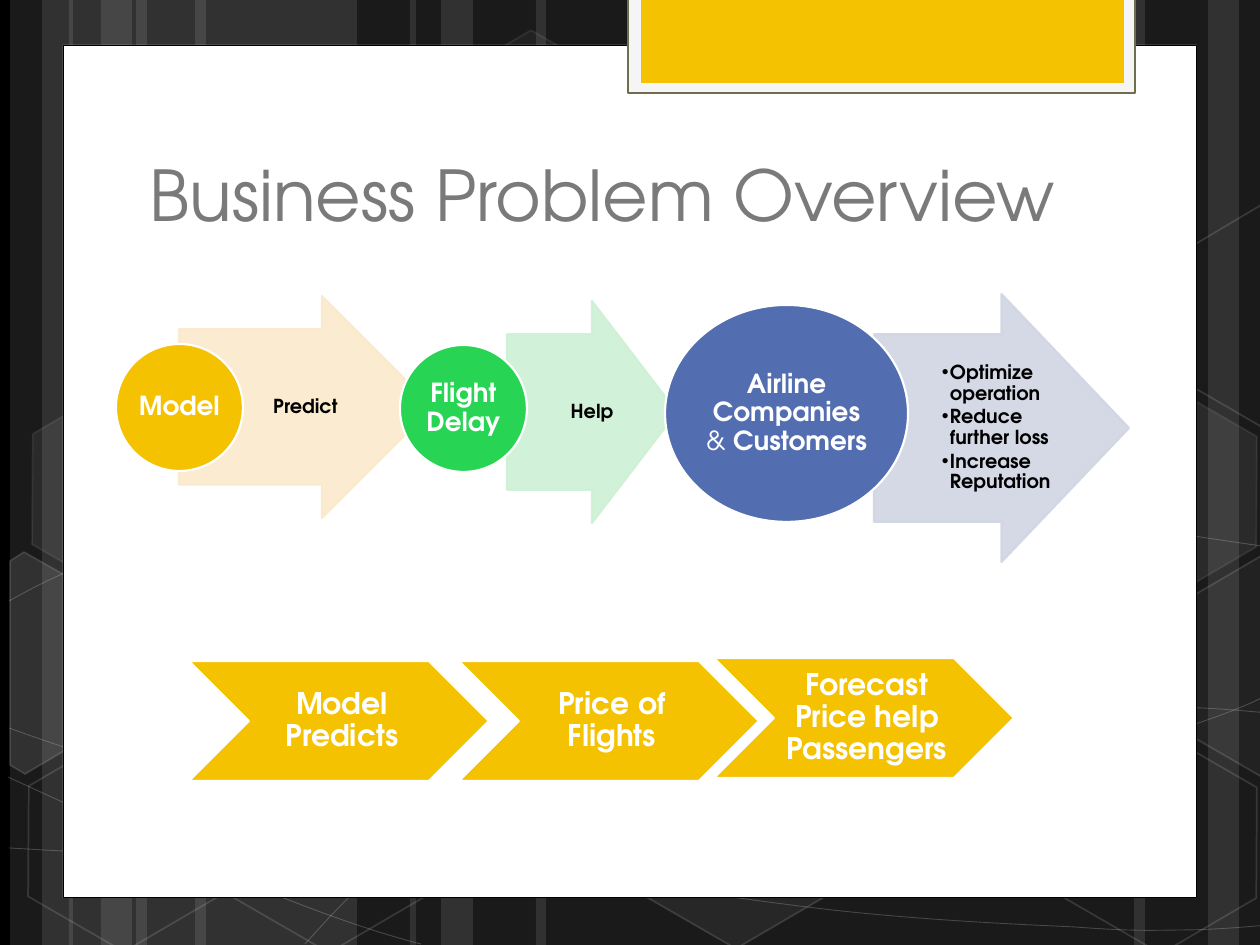
from lxml.etree import SubElement
from pptx import Presentation
from pptx.dml.color import RGBColor
from pptx.enum.shapes import MSO_SHAPE as Preset
from pptx.enum.text import MSO_ANCHOR as Anchor, MSO_AUTO_SIZE as AutoSize, PP_ALIGN as Align
from pptx.oxml.ns import qn
from pptx.util import Emu, Pt

SCALE = 914400 / 126
FONT = "TeX Gyre Adventor"
COLORS = {
    "black": "000000", "white": "FFFFFF", "gold": "F5C201", "green": "28D453",
    "blue": "526DB0", "cream": "FBE9CC", "mint": "CDF1D4", "lavender": "D1D5E4",
    "gray": "7A7A7A", "frame": "F5F5F5", "olive": "6F6F4E",
}
BARS = [(136, 221), (10, 63), (42, 105), (195, 221), (69, 63), (101, 105),
        (924, 221), (1208, 63), (1134, 105), (536, 388), (410, 63), (441, 105)]
CURVES = [
    [(9, 848), (77, 852), (145, 856), (239, 854), (334, 853), (451, 851), (577, 838),
     (703, 825), (882, 801), (998, 777), (1113, 753), (1231, 716), (1269, 694)],
    [(9, 601), (45, 581), (82, 562), (152, 543), (224, 524), (326, 496), (437, 488),
     (549, 479), (685, 478), (824, 488), (963, 498), (1193, 537), (1269, 547)],
    [(8, 777), (160, 847), (311, 916), (421, 944)],
    [(9, 728), (48, 742), (88, 756), (161, 776), (234, 795), (344, 827), (450, 848),
     (554, 869), (687, 892), (791, 905), (896, 919), (1008, 924), (1075, 927),
     (1140, 932), (1158, 930), (1191, 930), (1223, 929), (1246, 927), (1269, 925)],
    [(305, 944), (328, 919), (350, 893), (381, 871), (411, 848), (454, 823), (489, 805),
     (524, 788), (546, 780), (592, 767), (638, 755), (722, 737), (766, 728),
     (811, 719), (818, 719), (857, 717), (896, 713), (958, 709), (1000, 708),
     (1045, 707), (1116, 708), (1116, 708), (1144, 708), (1173, 708), (1201, 708),
     (1223, 709), (1245, 711), (1256, 712), (1268, 713), (1264, 712), (1268, 713)],
]
HEXAGONS = [(421, 45, 4, 8), (626, 742, 6, 12), (14, 745, None, 12), (18, 393, 7, 8),
            (219, 746, None, 12), (949, 571, 10, 12), (1051, 747, None, 12), (1051, 396, 7, 8)]
CUT_HEXAGONS = [
    ([(10, 561), (24, 552), (121, 607), (120, 718), (25, 774), (10, 765)], 10),
    ([(1167, 611), (1261, 556), (1271, 562), (1271, 772), (1262, 777), (1167, 722)], 4),
    ([(1167, 261), (1261, 205), (1273, 212), (1271, 422), (1262, 427), (1167, 372)], None),
]
LABEL = {"size": Pt(11), "color": "black", "insets": (4, 1, 3, 1)}
DISC = {"size": Pt(15), "color": "white", "insets": (1, 1, 1, 1)}
STEP = {"size": Pt(17), "color": "white", "insets": (9, 3, 3, 3)}
FLOW = [
    {"arrow": (179, 296, 254, 222), "tint": "cream", "label": (243, 330, 124, 155),
     "notes": ["Predict"], "disc": (116, 344, 127, 127), "color": "gold",
     "name": [("Model", True)]},
    {"arrow": (507, 301, 170, 222), "tint": "mint", "label": (550, 335, 83, 155),
     "notes": ["Help"], "disc": (400, 345, 127, 127), "color": "green",
     "name": [("Flight Delay", True)]},
    {"arrow": (874, 294, 255, 268), "tint": "lavender", "label": (938, 334, 123, 188),
     "notes": ["Optimize operation", "Reduce further loss", "Increase Reputation"],
     "disc": (665, 305, 243, 217), "color": "blue",
     "name": [("Airline Companies", True), (" & ", False), ("Customers", True)]},
]
STEPS = [(189, 661, "Model Predicts"), (459, 661, "Price of Flights"),
         (714, 658, "Forecast Price help Passengers")]


def px(value):
    return Emu(round(value * SCALE))


def rgb(name):
    return RGBColor.from_string(COLORS[name])


def apply(target, values):
    for name, value in values.items():
        setattr(target, name, value)


def paint(fill, holder, color, alpha):
    if color is None:
        fill.background()
        return
    fill.solid()
    fill.fore_color.rgb = rgb(color)
    if alpha is not None:
        tone = holder.find(qn("a:solidFill")).find(qn("a:srgbClr"))
        SubElement(tone, qn("a:alpha"), val=str(alpha * 1000))


def style(shape, fill=None, alpha=None, line=None, width=1.25, line_alpha=None):
    shape.shadow.inherit = False
    properties = shape.element.spPr
    paint(shape.fill, properties, fill, alpha)
    shape.line.width = Pt(width)
    paint(shape.line.fill, properties.find(qn("a:ln")), line, line_alpha)


def add_preset(page, kind, box, **look):
    shape = page.shapes.add_shape(kind, *map(px, box))
    style(shape, **look)
    return shape


def add_outline(page, points, closed, **look):
    corners = [(px(x), px(y)) for x, y in points]
    builder = page.shapes.build_freeform(*corners[0], scale=1.0)
    builder.add_line_segments(corners[1:], close=closed)
    shape = builder.convert_to_shape()
    style(shape, **look)
    return shape


def add_curve(page, knots):
    shape = add_outline(page, knots, False, line="white", width=0.5, line_alpha=20)
    segments = list(shape.element.iter(qn("a:lnTo")))
    outline = segments[0].getparent()
    for start in range(0, len(segments), 3):
        bend = SubElement(outline, qn("a:cubicBezTo"))
        for segment in segments[start:start + 3]:
            bend.append(segment.find(qn("a:pt")))
            outline.remove(segment)


def add_bullet(para):
    apply(para, {"level": 1, "alignment": Align.LEFT, "space_after": Pt(1.5)})
    properties = para._p.get_or_add_pPr()
    properties.set("marL", str(px(8)))
    properties.set("indent", str(-px(8)))
    SubElement(properties, qn("a:buFont"), typeface="Arial")
    SubElement(properties, qn("a:buChar"), char="•")


def write(shape, paragraphs, form):
    frame = shape.text_frame
    left, top, right, bottom = map(px, form["insets"])
    apply(frame, {"word_wrap": True, "vertical_anchor": Anchor.MIDDLE, "margin_left": left,
                  "margin_top": top, "margin_right": right, "margin_bottom": bottom})
    for index, spans in enumerate(paragraphs):
        para = frame.add_paragraph() if index else frame.paragraphs[0]
        apply(para, {"alignment": Align.CENTER, "line_spacing": 0.9})
        for text, bold in spans:
            span = para.add_run()
            span.text = text
            apply(span.font, {"name": FONT, "size": form["size"], "bold": bold})
            span.font.color.rgb = rgb(form["color"])
        if len(paragraphs) > 1:
            add_bullet(para)


def add_backdrop(page):
    page.background.fill.solid()
    page.background.fill.fore_color.rgb = rgb("black")
    for left, width in BARS:
        add_preset(page, Preset.RECTANGLE, (left, 0, width, 945), fill="white", alpha=10)
    for knots in CURVES:
        add_curve(page, knots)
    for left, top, alpha, line_alpha in HEXAGONS:
        hexagon = add_preset(page, Preset.HEXAGON, (left, top, 220, 192), line="white", width=1,
                             fill="white" if alpha else None, alpha=alpha, line_alpha=line_alpha)
        hexagon.rotation = 30
        hexagon.adjustments[0] = 0.285
    for corners, alpha in CUT_HEXAGONS:
        add_outline(page, corners, True, line="white", width=1, line_alpha=12,
                    fill="white" if alpha else None, alpha=alpha)
    add_preset(page, Preset.RECTANGLE, (63, 45, 1134, 853), fill="white", line="black", width=0.5)
    add_preset(page, Preset.RECTANGLE, (628, -3, 507, 96), fill="frame", line="olive")
    add_preset(page, Preset.RECTANGLE, (641, -3, 483, 86), fill="gold")


def add_title(page, text):
    title = page.shapes.title
    title.element.getparent().append(title.element)
    apply(title, {"left": px(137), "top": px(84), "width": px(967), "height": px(158)})
    frame = title.text_frame
    frame.text = text
    apply(frame, {"vertical_anchor": Anchor.BOTTOM, "auto_size": AutoSize.NONE, "word_wrap": True})
    para = frame.paragraphs[0]
    para.alignment = Align.LEFT
    font = para.runs[0].font
    apply(font, {"name": FONT, "size": Pt(40)})
    font.color.rgb = rgb("gray")


def add_stage(page, stage):
    arrow = add_preset(page, Preset.RIGHT_ARROW, stage["arrow"], fill=stage["tint"], alpha=90,
                       line=stage["tint"], line_alpha=90)
    arrow.adjustments[0] = 0.7
    label = page.shapes.add_textbox(*map(px, stage["label"]))
    write(label, [[(note, True)] for note in stage["notes"]], LABEL)
    disc = add_preset(page, Preset.OVAL, stage["disc"], fill=stage["color"], line="white")
    write(disc, [stage["name"]], DISC)


def add_step(page, left, top, text):
    chevron = add_preset(page, Preset.CHEVRON, (left, top, 300, 120), fill="gold", line="white")
    write(chevron, [[(text, True)]], STEP)


def main():
    deck = Presentation()
    apply(deck, {"slide_width": px(1260), "slide_height": px(945)})
    page = deck.slides.add_slide(deck.slide_layouts[5])
    add_backdrop(page)
    add_title(page, "Business Problem Overview")
    for stage in FLOW:
        add_stage(page, stage)
    for step in STEPS:
        add_step(page, *step)
    deck.save("out.pptx")


if __name__ == "__main__":
    main()
